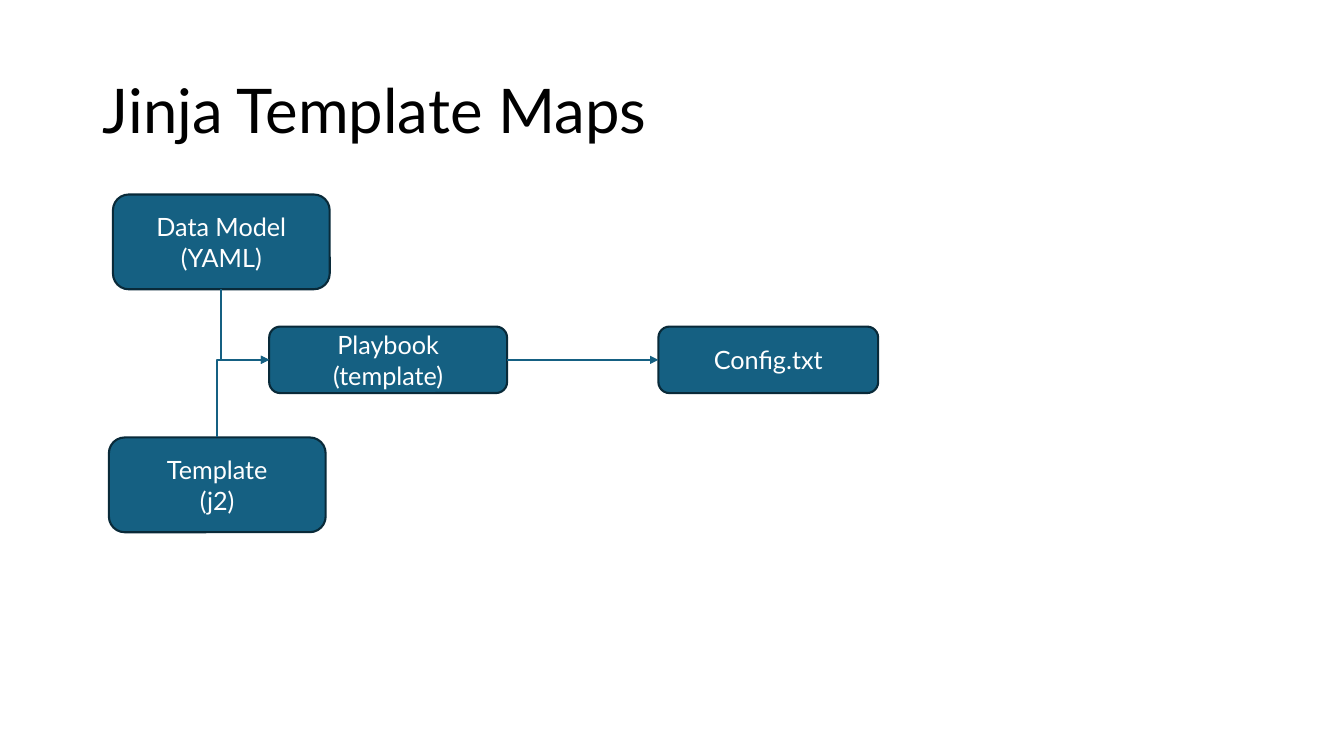
from dataclasses import dataclass

from lxml import etree
from pptx import Presentation
from pptx.dml.color import RGBColor
from pptx.enum import shapes, text
from pptx.oxml import ns
from pptx import util as u

BLACK = RGBColor(0x00, 0x00, 0x00)
WHITE = RGBColor(0xFF, 0xFF, 0xFF)
TEAL = RGBColor(0x15, 0x60, 0x82)
DARK_TEAL = RGBColor(0x09, 0x2A, 0x39)
FONT = "Lato"
TOP, LEFT, BOTTOM, RIGHT = range(4)


@dataclass
class Box:
    key: str
    lines: list[str]
    left: float
    top: float
    width: float
    height: float


@dataclass
class Arrow:
    source: str
    source_side: int
    target: str


BOXES = [
    Box("data model", ["Data Model", "(YAML)"], 1.12, 1.93, 2.15, 0.94),
    Box("template", ["Template", "(j2)"], 1.08, 4.34, 2.15, 0.94),
    Box("playbook", ["Playbook (template)"], 2.67, 3.24, 2.36, 0.66),
    Box("config", ["Config.txt"], 6.53, 3.24, 2.18, 0.66),
]
ARROWS = [
    Arrow("data model", BOTTOM, "playbook"),
    Arrow("template", TOP, "playbook"),
    Arrow("playbook", RIGHT, "config"),
]


def style_font(paragraph, size: float, color: RGBColor) -> None:
    paragraph.font.name = FONT
    paragraph.font.size = u.Pt(size)
    paragraph.font.color.rgb = color


def add_title(slide, title: str) -> None:
    shape = slide.shapes.title
    shape.left, shape.top = u.Inches(0.92), u.Inches(0.4)
    shape.width, shape.height = u.Inches(11.5), u.Inches(1.45)
    shape.text_frame.text = title
    shape.text_frame.vertical_anchor = text.MSO_ANCHOR.MIDDLE
    paragraph = shape.text_frame.paragraphs[0]
    paragraph.alignment = text.PP_ALIGN.LEFT
    paragraph.line_spacing = 0.9
    style_font(paragraph, 44, BLACK)


def add_box(slide, box: Box):
    shape = slide.shapes.add_shape(
        shapes.MSO_SHAPE.ROUNDED_RECTANGLE,
        u.Inches(box.left), u.Inches(box.top),
        u.Inches(box.width), u.Inches(box.height),
    )
    shape.shadow.inherit = False
    shape.fill.solid()
    shape.fill.fore_color.rgb = TEAL
    shape.line.color.rgb = DARK_TEAL
    shape.line.width = u.Pt(1.5)
    frame = shape.text_frame
    frame.word_wrap = True
    frame.vertical_anchor = text.MSO_ANCHOR.MIDDLE
    frame.text = "\n".join(box.lines)
    for paragraph in frame.paragraphs:
        paragraph.alignment = text.PP_ALIGN.CENTER
        style_font(paragraph, 18, WHITE)
    return shape


def bend_once(connector) -> None:
    across = connector.end_x - connector.begin_x
    down = connector.end_y - connector.begin_y
    center_x = (connector.begin_x + connector.end_x) // 2
    center_y = (connector.begin_y + connector.end_y) // 2
    connector.width, connector.height = abs(down), across
    connector.left = center_x - abs(down) // 2
    connector.top = center_y - across // 2
    properties = connector._element.spPr
    properties.find(ns.qn("a:prstGeom")).set("prst", "bentConnector2")
    transform = properties.find(ns.qn("a:xfrm"))
    transform.set("rot", str((270 if down > 0 else 90) * 60000))
    transform.set("flipH", "1")
    transform.set("flipV", "0" if down > 0 else "1")


def add_arrow(slide, arrow: Arrow, box_shapes: dict) -> None:
    source, target = box_shapes[arrow.source], box_shapes[arrow.target]
    straight = arrow.source_side == RIGHT
    kind = shapes.MSO_CONNECTOR.STRAIGHT if straight else shapes.MSO_CONNECTOR.ELBOW
    connector = slide.shapes.add_connector(
        kind, source.left, source.top, target.left, target.top
    )
    connector.begin_connect(source, arrow.source_side)
    connector.end_connect(target, LEFT)
    if not straight:
        bend_once(connector)
    connector.line.color.rgb = TEAL
    connector.line.width = u.Pt(1.5)
    line = connector.line._get_or_add_ln()
    etree.SubElement(line, ns.qn("a:tailEnd"), type="triangle")
    etree.SubElement(connector._element.spPr, ns.qn("a:effectLst"))


def main() -> None:
    presentation = Presentation()
    presentation.slide_width = u.Inches(13.33)
    presentation.slide_height = u.Inches(7.5)
    slide = presentation.slides.add_slide(presentation.slide_layouts[5])
    add_title(slide, "Jinja Template Maps")
    box_shapes = {box.key: add_box(slide, box) for box in BOXES}
    for arrow in ARROWS:
        add_arrow(slide, arrow, box_shapes)
    presentation.save("out.pptx")


if __name__ == "__main__":
    main()
